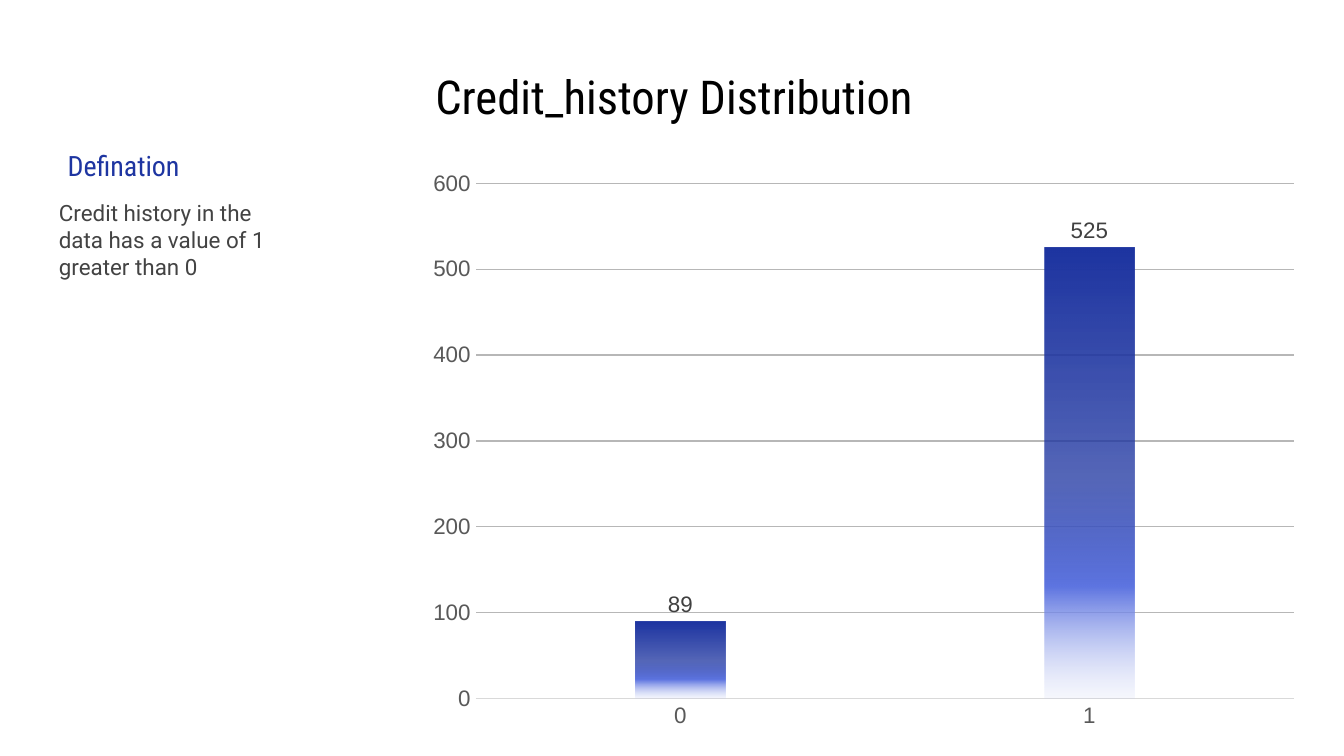
from lxml import etree
from pptx import Presentation
from pptx.chart.data import CategoryChartData
from pptx.dml.color import RGBColor
from pptx.enum.chart import XL_CHART_TYPE as ChartType, XL_LABEL_POSITION as LabelPos
from pptx.enum.chart import XL_TICK_MARK as TickMark
from pptx.enum.text import MSO_ANCHOR as Anchor, PP_ALIGN as Align
from pptx.oxml import parse_xml
from pptx.util import Inches, Pt

BLACK = RGBColor(0x00, 0x00, 0x00)
NAVY = RGBColor(0x1E, 0x35, 0xA1)
BLUE = RGBColor(0x5E, 0x75, 0xE1)
PALE_BLUE = RGBColor(0xC9, 0xD1, 0xF5)
BODY_GRAY = RGBColor(0x43, 0x43, 0x43)
LABEL_GRAY = RGBColor(0x40, 0x40, 0x40)
AXIS_GRAY = RGBColor(0x59, 0x59, 0x59)
AXIS_LINE = RGBColor(0xD9, 0xD9, 0xD9)
GRID_GRAY = RGBColor(0xB7, 0xB7, 0xB7)
NS_A = "http://schemas.openxmlformats.org/drawingml/2006/main"


def set_font(font, size, name, color):
    font.size = Pt(size)
    font.name = name
    font.bold = False
    font.color.rgb = color


def set_text(sp, text, size, name, color, align):
    tf = sp.text_frame
    tf.word_wrap = True
    tf.vertical_anchor = Anchor.MIDDLE
    tf.margin_left = tf.margin_right = tf.margin_top = tf.margin_bottom = Inches(0.1)
    p = tf.paragraphs[0]
    p.text = text
    p.alignment = align
    p.line_spacing = 1.0
    p.space_before = Pt(0)
    set_font(p.font, size, name, color)
    return tf


prs = Presentation()
prs.slide_width = Inches(10)
prs.slide_height = Inches(10 * 9 / 16)
s = prs.slides.add_slide(prs.slide_layouts[5])

title = s.shapes.title
title.left, title.top = Inches(0.53), Inches(0.45)
title.width, title.height = Inches(8.97), Inches(0.53)
set_text(title, "Credit_history Distribution", 25, "Roboto Condensed", BLACK, Align.CENTER)

heading = s.shapes.add_textbox(Inches(0.24), Inches(1.12), Inches(1.36), Inches(0.22))
set_text(heading, "Defination", 15, "Roboto Condensed", NAVY, Align.CENTER)

body = s.shapes.add_textbox(Inches(0.34), Inches(1.48), Inches(1.76), Inches(0.41))
tf = set_text(body, "Credit history in the data has a value of 1 greater than 0",
              12, "Roboto", BODY_GRAY, Align.LEFT)
tf.margin_top, tf.margin_bottom = Inches(0.2), Inches(0)

data = CategoryChartData()
data.categories = ["0", "1"]
data.add_series("Series 1", (89, 525))
chart = s.shapes.add_chart(ChartType.COLUMN_CLUSTERED, Inches(3.09), Inches(1.19),
                           Inches(6.67), Inches(4.31), data).chart
chart.has_legend = False
chart.has_title = False
set_font(chart.font, 10, "Arial", BLACK)

cat_axis, val_axis = chart.category_axis, chart.value_axis
for axis in (cat_axis, val_axis):
    axis.major_tick_mark = axis.minor_tick_mark = TickMark.NONE
    set_font(axis.tick_labels.font, 12, "Arial", AXIS_GRAY)
cat_axis.format.line.color.rgb = AXIS_LINE
cat_axis.format.line.width = Pt(0.75)
val_axis.minimum_scale, val_axis.maximum_scale, val_axis.major_unit = 0, 600, 100
val_axis.format.line.fill.background()
val_axis.major_gridlines.format.line.color.rgb = GRID_GRAY
val_axis.major_gridlines.format.line.width = Pt(0.75)

plot = chart.plots[0]
plot.vary_by_categories = False
plot.gap_width = 355
plot.overlap = -70
plot.has_data_labels = True
labels = plot.data_labels
labels.show_value = True
labels.position = LabelPos.OUTSIDE_END
set_font(labels.font, 12, "Arial", LABEL_GRAY)

grad = parse_xml(f'<a:gradFill xmlns:a="{NS_A}"><a:gsLst/>'
                 '<a:lin ang="5400000" scaled="0"/></a:gradFill>')
for position, color, opacity in ((0, NAVY, 100), (51, NAVY, 75),
                                 (75, BLUE, 100), (100, PALE_BLUE, 15)):
    stop = etree.SubElement(grad[0], f"{{{NS_A}}}gs", pos=str(position * 1000))
    clr = etree.SubElement(stop, f"{{{NS_A}}}srgbClr", val=str(color))
    etree.SubElement(clr, f"{{{NS_A}}}alpha", val=str(opacity * 1000))
series = plot.series[0]
series.invert_if_negative = False
series._element.get_or_add_spPr().append(grad)

prs.save("out.pptx")
